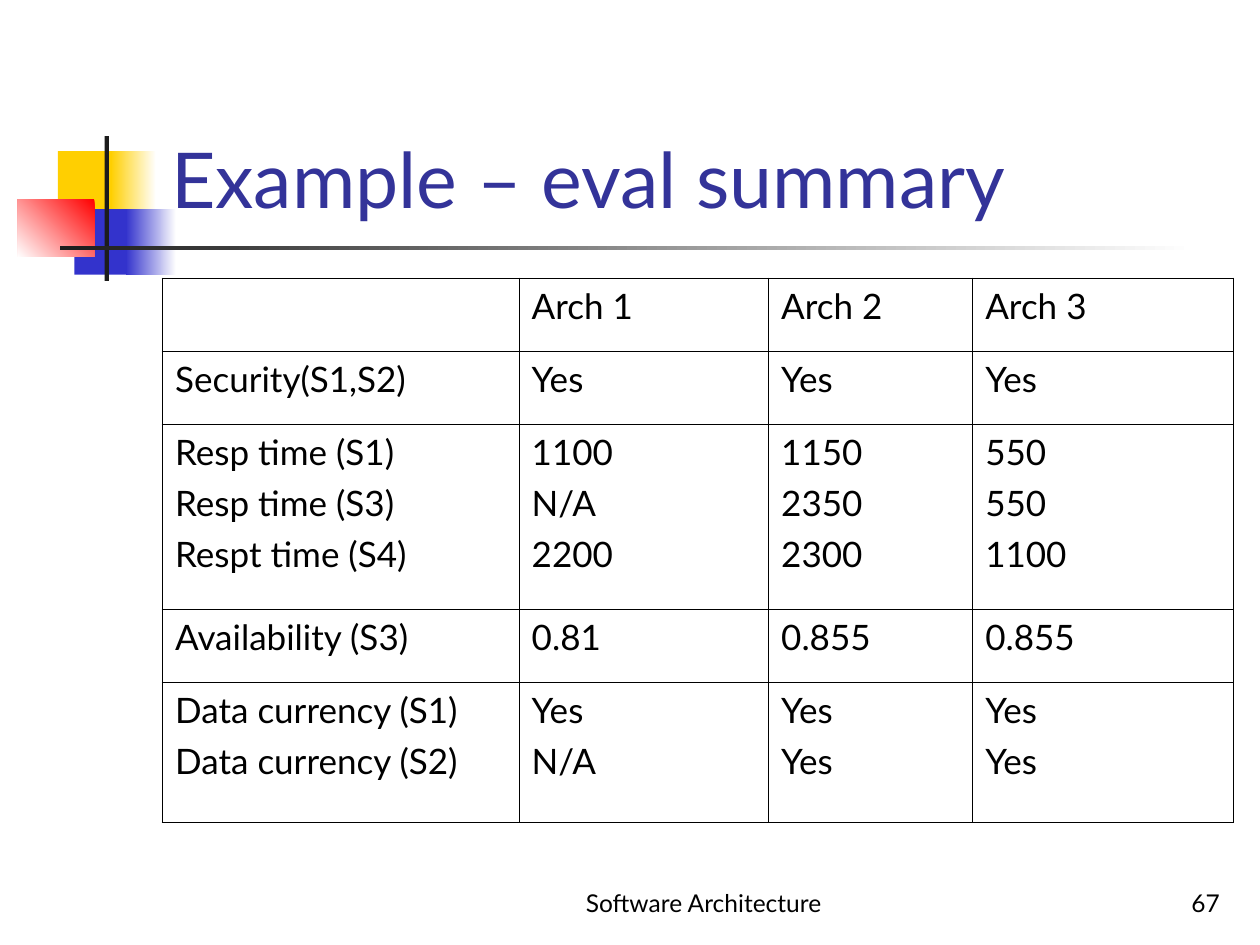
"""Build the evaluation summary slide comparing three architectures."""
from lxml.etree import SubElement
from pptx import Presentation
from pptx.dml.color import RGBColor
from pptx.enum.shapes import MSO_SHAPE
from pptx.enum.text import MSO_ANCHOR, PP_ALIGN
from pptx.oxml.ns import qn
from pptx.util import Inches, Pt

presentation = Presentation()
presentation.slide_width = Inches(10)
presentation.slide_height = Inches(7.5)
slide = presentation.slides.add_slide(presentation.slide_layouts[6])
column = presentation.slide_width / 100
row = presentation.slide_height / 100


def grid_box(left, top, width, height):
    """Turn percentages of the slide into a position and a size."""
    return int(left * column), int(top * row), int(width * column), int(height * row)


def write_text(text_frame, text, size=20, color="000000", align=PP_ALIGN.LEFT, gap=0):
    """Write each line of text as a formatted paragraph."""
    text_frame.word_wrap = True
    for index, line in enumerate(text.split("\n")):
        paragraph = text_frame.paragraphs[0] if index == 0 else text_frame.add_paragraph()
        paragraph.alignment = align
        if index:
            paragraph.space_before = Pt(gap)
        run = paragraph.add_run()
        run.text = line
        run.font.name = "Lato"
        run.font.size = Pt(size)
        run.font.color.rgb = RGBColor.from_string(color)


decorations = [
    ((4.6, 16, 4.8, 6.93), ["FFCF01"], 0),
    ((8.8, 16, 3.6, 6.93), ["FFFFFF", "FFCF01"], 180),
    ((5.9, 22.13, 4.6, 6.93), ["3333CC"], 0),
    ((10, 22.13, 4, 6.93), ["FFFFFF", "3333CC"], 180),
    ((1.4, 21.07, 6.1, 6.13), ["FF0000", "FFFFFF"], 225),
    ((8.3, 14.4, 0.35, 15.33), ["1C1C1C"], 0),
    ((4.8, 26, 90, 0.45), ["FFFFFF", "1C1C1C"], 180),
]
for box, colors, angle in decorations:
    shape = slide.shapes.add_shape(MSO_SHAPE.RECTANGLE, *grid_box(*box))
    shape.shadow.inherit = False
    shape.line.fill.background()
    if len(colors) == 1:
        shape.fill.solid()
        shape.fill.fore_color.rgb = RGBColor.from_string(colors[0])
    else:
        shape.fill.gradient()
        shape.fill.gradient_angle = angle
        for stop, color in zip(shape.fill.gradient_stops, colors):
            stop.color.rgb = RGBColor.from_string(color)

labels = [
    ((40, 91.07, 31.7, 6.67), "Software Architecture", 14, "000000", PP_ALIGN.CENTER),
    ((77, 91.07, 20.8, 6.67), "67", 14, "000000", PP_ALIGN.RIGHT),
    ((12.6, 3.07, 85.2, 21.33), "Example – eval summary", 44, "333399", PP_ALIGN.LEFT),
]
for box, text, size, color, align in labels:
    text_frame = slide.shapes.add_textbox(*grid_box(*box)).text_frame
    text_frame.vertical_anchor = MSO_ANCHOR.BOTTOM
    write_text(text_frame, text, size=size, color=color, align=align)

summary = [
    ["", "Arch 1", "Arch 2", "Arch 3"],
    ["Security(S1,S2)", "Yes", "Yes", "Yes"],
    ["Resp time (S1)\nResp time (S3)\nRespt time (S4)",
     "1100\nN/A\n2200", "1150\n2350\n2300", "550\n550\n1100"],
    ["Availability (S3)", "0.81", "0.855", "0.855"],
    ["Data currency (S1)\nData currency (S2)", "Yes\nN/A", "Yes\nYes", "Yes\nYes"],
]
column_shares = [28.3, 19.8, 16.2, 20.7]
row_shares = [7.73, 7.73, 19.6, 7.73, 14.8]
table = slide.shapes.add_table(
    len(row_shares), len(column_shares),
    *grid_box(12.9, 29.47, sum(column_shares), sum(row_shares))).table
table.first_row = table.horz_banding = False
for table_column, share in zip(table.columns, column_shares):
    table_column.width = int(share * column)
for table_row, share in zip(table.rows, row_shares):
    table_row.height = int(share * row)

last_row, last_column = len(row_shares) - 1, len(column_shares) - 1
for row_index, values in enumerate(summary):
    for column_index, value in enumerate(values):
        cell = table.cell(row_index, column_index)
        if value:
            write_text(cell.text_frame, value, gap=5)
        outer_edges = {
            "a:lnL": column_index == 0,
            "a:lnR": column_index == last_column,
            "a:lnT": row_index == 0,
            "a:lnB": row_index == last_row,
        }
        properties = cell._tc.get_or_add_tcPr()
        for tag, outer in outer_edges.items():
            border = SubElement(properties, qn(tag), w=str(Pt(1.08 if outer else 0.45)))
            SubElement(SubElement(border, qn("a:solidFill")), qn("a:srgbClr"), val="000000")
        cell.fill.background()

presentation.save("out.pptx")
